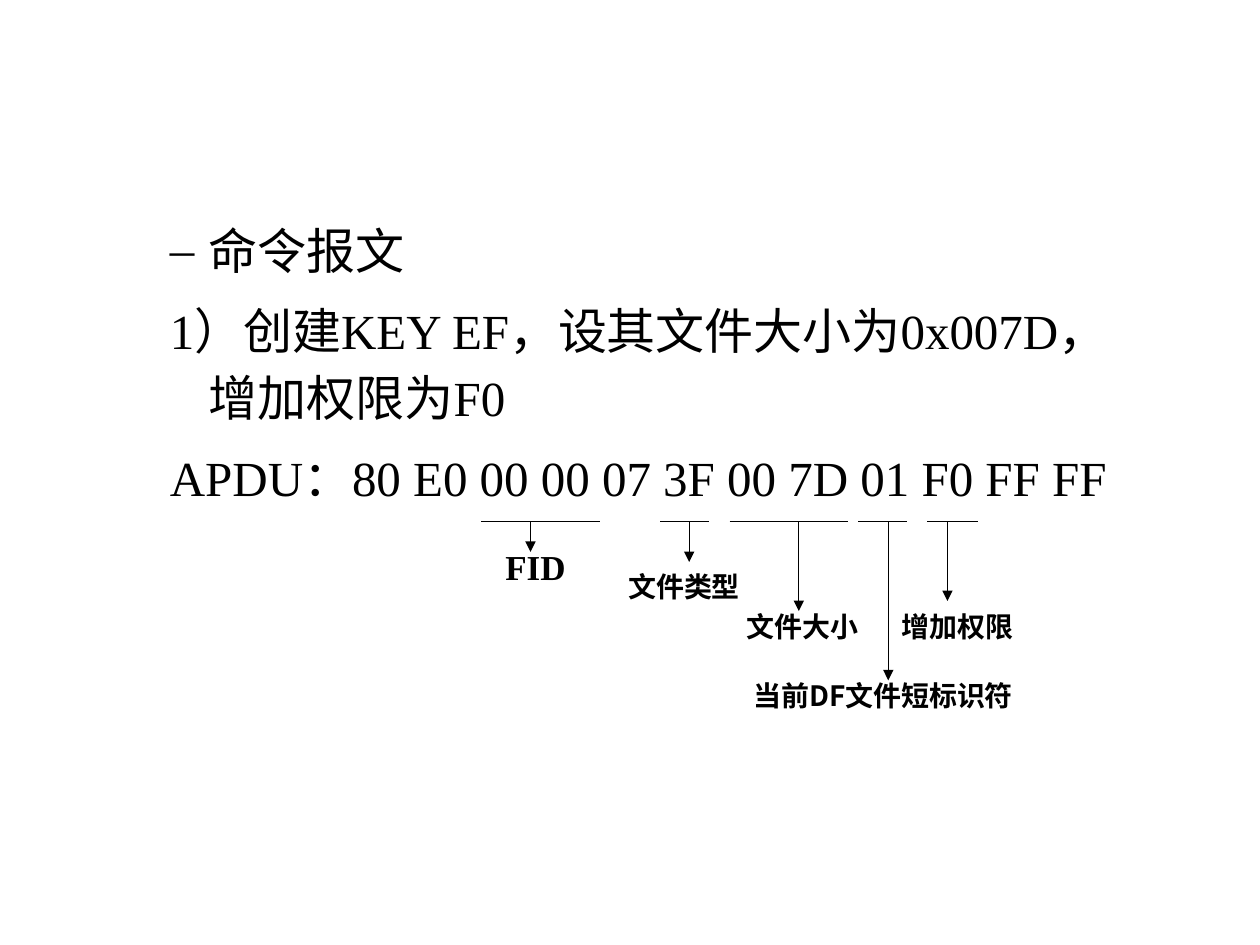
from lxml import etree
from pptx import Presentation
from pptx import util as u
from pptx.dml.color import RGBColor
from pptx.enum import shapes, text
from pptx.oxml.ns import qn

BLACK = RGBColor(0, 0, 0)
SERIF = "Times New Roman"
SANS = "Noto Sans CJK SC"
LABEL_HEIGHT = 0.24

MESSAGE = [
    ("命令报文", "–"),
    ("1）创建KEY EF，设其文件大小为0x007D，增加权限为F0", None),
    ("APDU：80 E0 00 00 07 3F 00 7D 01 F0 FF FF", None),
]

FIELDS = [
    {"start": 0, "length": 0.94, "stem": 0.39, "drop": 0.24,
     "label": "FID", "center": 0.43, "below": 0.24, "width": 0.71, "size": 20, "font": SERIF},
    {"start": 1.42, "length": 0.39, "stem": 1.65, "drop": 0.32,
     "label": "文件类型", "center": 1.61, "below": 0.39, "width": 1, "size": 16, "font": SERIF},
    {"start": 1.97, "length": 0.94, "stem": 2.52, "drop": 0.71,
     "label": "文件大小", "center": 2.55, "below": 0.71, "width": 1, "size": 16, "font": SERIF},
    {"start": 2.99, "length": 0.39, "stem": 3.23, "drop": 1.26,
     "label": "当前DF文件短标识符", "center": 3.19, "below": 1.26, "width": 2.4, "size": 16,
     "font": SANS},
    {"start": 3.54, "length": 0.4, "stem": 3.7, "drop": 0.63,
     "label": "增加权限", "center": 3.78, "below": 0.71, "width": 1, "size": 16, "font": SERIF},
]


def add_span(para, words, size, name, bold=False):
    span = para.add_run()
    span.text = words
    span.font.size = u.Pt(size)
    span.font.name = name
    span.font.bold = bold
    span.font.color.rgb = BLACK


def add_message(page, left, top, width, height):
    box = page.shapes.add_textbox(*map(u.Inches, (left, top, width, height)))
    frame = box.text_frame
    frame.word_wrap = True
    for index, (words, bullet) in enumerate(MESSAGE):
        para = frame.add_paragraph() if index else frame.paragraphs[0]
        para.line_spacing = 1.15
        para.space_before = u.Pt(7 if index else 0)
        props = para._p.get_or_add_pPr()
        props.set("marL", str(u.Inches(0.81)))
        props.set("indent", str(u.Inches(-0.31)))
        if bullet:
            etree.SubElement(props, qn("a:buFont")).set("typeface", SERIF)
            etree.SubElement(props, qn("a:buChar")).set("char", bullet)
        else:
            etree.SubElement(props, qn("a:buNone"))
        add_span(para, words, 28, SERIF)


def add_line(page, start, end, arrow=False):
    line = page.shapes.add_connector(
        shapes.MSO_CONNECTOR.STRAIGHT, *map(u.Inches, start + end))
    line.line.color.rgb = BLACK
    line.line.width = u.Pt(0.75)
    props = line._element.spPr
    if arrow:
        etree.SubElement(props.find(qn("a:ln")), qn("a:tailEnd")).set("type", "triangle")
    etree.SubElement(props, qn("a:effectLst"))


def add_label(page, left, top, width, height, words, size, name):
    box = page.shapes.add_textbox(*map(u.Inches, (left, top, width, height)))
    frame = box.text_frame
    frame.word_wrap = True
    frame.margin_left = frame.margin_right = 0
    frame.margin_top = frame.margin_bottom = 0
    frame.vertical_anchor = text.MSO_ANCHOR.MIDDLE
    para = frame.paragraphs[0]
    para.alignment = text.PP_ALIGN.CENTER
    add_span(para, words, size, name, bold=True)


def add_fields(page, left, top):
    for field in FIELDS:
        start = left + field["start"]
        stem = left + field["stem"]
        width = field["width"]
        add_line(page, (start, top), (start + field["length"], top))
        add_line(page, (stem, top), (stem, top + field["drop"]), arrow=True)
        add_label(page, left + field["center"] - width / 2, top + field["below"],
                  width, LABEL_HEIGHT, field["label"], field["size"], field["font"])


def main():
    deck = Presentation()
    deck.slide_width = u.Inches(10)
    deck.slide_height = u.Inches(7.5)
    page = deck.slides.add_slide(deck.slide_layouts[6])
    add_message(page, 0.75, 1.63, 8.5, 2.76)
    add_fields(page, 3.82, 4.14)
    deck.save("out.pptx")


if __name__ == "__main__":
    main()
